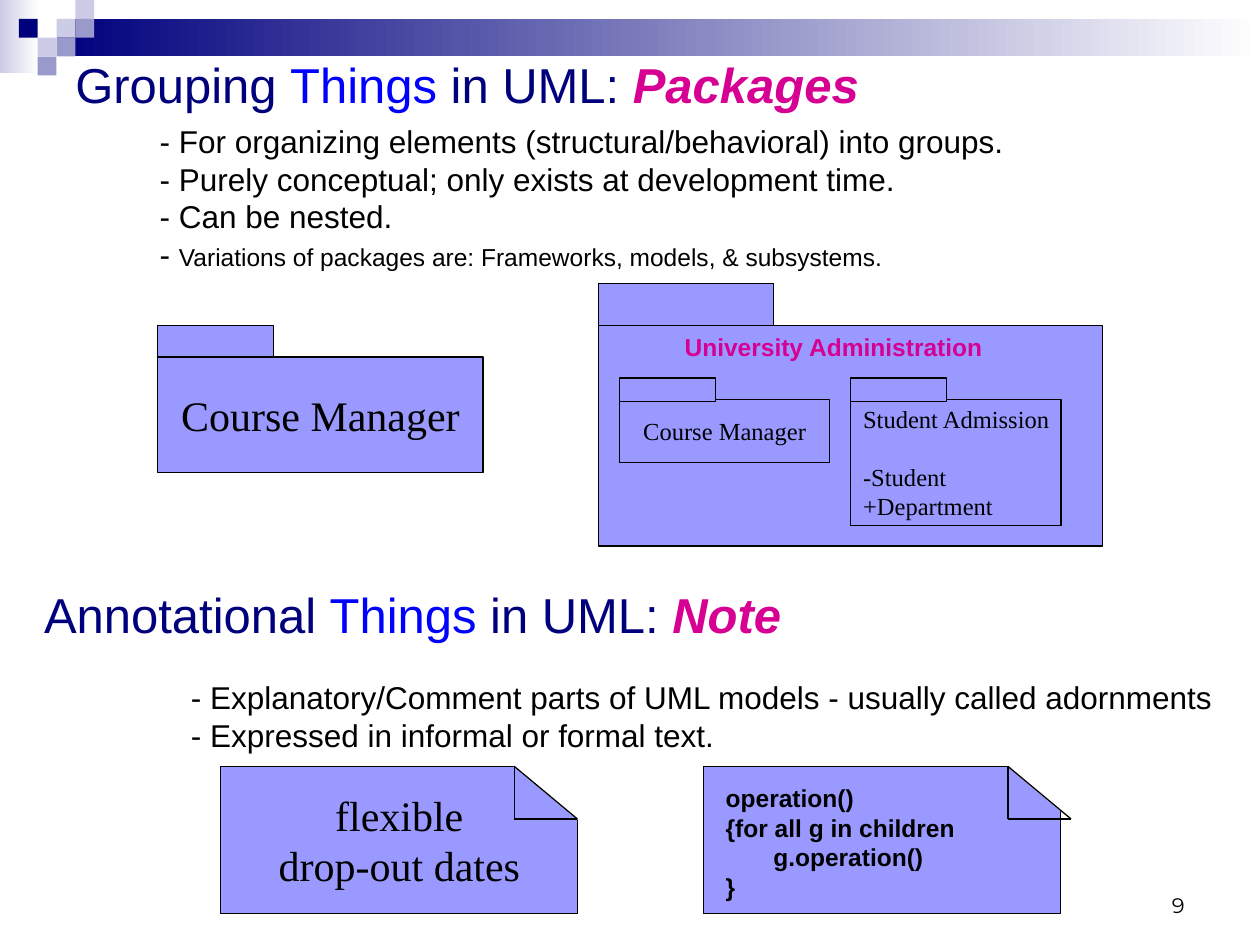
from pptx import Presentation
from pptx.dml.color import RGBColor
from pptx.enum.shapes import MSO_CONNECTOR, MSO_SHAPE
from pptx.enum.text import MSO_ANCHOR, PP_ALIGN
from pptx.oxml.ns import qn
from pptx.util import Cm, Pt
from lxml import etree

RECT = MSO_SHAPE.RECTANGLE
LINE = MSO_CONNECTOR.STRAIGHT
TOP, MID, BASE = MSO_ANCHOR.TOP, MSO_ANCHOR.MIDDLE, MSO_ANCHOR.BOTTOM
LEFT, MIDST, RIGHT = PP_ALIGN.LEFT, PP_ALIGN.CENTER, PP_ALIGN.RIGHT
SANS, SERIF, MONT = "Arial", "Times New Roman", "Montserrat"
INKS = {
    "black": "000000", "white": "FFFFFF", "navy": "00007D", "blue": "0000FF",
    "pink": "D60093", "lilac": "9999FF", "pale": "CCCCE6", "mauve": "9999CC",
}


def ink(name):
    return RGBColor.from_string(INKS[name])


def paint(shape, fill, edge=None):
    shape.shadow.inherit = False
    shape.fill.solid()
    shape.fill.fore_color.rgb = ink(fill)
    if edge:
        shape.line.color.rgb = ink(edge)
        shape.line.width = Pt(0.75)
    else:
        shape.line.fill.background()


def add_box(slide, x, y, w, h, fill="lilac", edge="black"):
    box = slide.shapes.add_shape(RECT, Cm(x), Cm(y), Cm(w), Cm(h))
    paint(box, fill, edge)
    return box


def add_fade(slide, x, y, w, h, end):
    bar = add_box(slide, x, y, w, h, "white", None)
    bar.fill.gradient()
    bar.fill.gradient_angle = 180
    for stop, spot, name in zip(bar.fill.gradient_stops, (0, 1), ("white", end)):
        stop.position = spot
        stop.color.rgb = ink(name)


def style(run, size, face=SANS, tint="black", bold=False, slant=False):
    font = run.font
    font.size, font.name = Pt(size), face
    font.bold, font.italic = bold, slant
    font.color.rgb = ink(tint)


def write(frame, text, size, face=SANS, tint="black", bold=False,
          align=LEFT, anchor=TOP, wrap=True):
    frame.text = text
    frame.word_wrap = wrap
    frame.vertical_anchor = anchor
    for para in frame.paragraphs:
        para.alignment = align
        for run in para.runs:
            style(run, size, face, tint, bold)


def add_text(slide, x, y, w, h, text, size, **look):
    frame = slide.shapes.add_textbox(Cm(x), Cm(y), Cm(w), Cm(h)).text_frame
    write(frame, text, size, **look)
    return frame


def add_head(slide, x, y, h, start, topic):
    frame = add_text(slide, x, y, 22.86, h, start, 28, tint="navy", anchor=MID)
    para = frame.paragraphs[0]
    parts = (("Things", "blue", False), (" in UML: ", "navy", False),
             (topic, "pink", True))
    for text, tint, strong in parts:
        run = para.add_run()
        run.text = text
        style(run, 28, tint=tint, bold=strong, slant=strong)


def add_pack(slide, body, tab):
    x, y = body[:2]
    box = add_box(slide, *body)
    wide, high, rise = tab
    add_box(slide, x, y - rise, wide, high)
    return box.text_frame


def add_line(slide, x1, y1, x2, y2):
    line = slide.shapes.add_connector(LINE, Cm(x1), Cm(y1), Cm(x2), Cm(y2))
    line.line.color.rgb = ink("black")
    line.line.width = Pt(0.75)
    etree.SubElement(line._element.spPr, qn("a:effectLst"))


def add_note(slide, x, fold):
    y, wide, high = 15.45, 1.27, 1.06
    box = add_box(slide, x, y, 7.2, 2.96)
    end, low = fold + wide, y + high
    form = slide.shapes.build_freeform(Cm(fold), Cm(y))
    form.add_line_segments([(Cm(end), Cm(y)), (Cm(end), Cm(low))])
    paint(form.convert_to_shape(), "white", "white")
    add_line(slide, fold, y, end, low)
    add_line(slide, fold, y, fold, low)
    add_line(slide, fold, low, end, low)
    return box.text_frame


def add_decor(slide):
    add_fade(slide, 0, 0, 0.78, 1.47, "pale")
    add_fade(slide, 1.14, 0.38, 24.26, 0.76, "navy")
    step = 0.38
    tiles = ((3, 1, "pale"), (4, 0, "pale"), (4, 1, "mauve"), (2, 2, "pale"),
             (1, 1, "navy"), (3, 2, "mauve"), (2, 3, "mauve"))
    for col, row, fill in tiles:
        add_box(slide, col * step, row * step, step, step, fill, None)


def add_packs(slide):
    add_pack(slide, (12.07, 6.56, 10.16, 4.45), (3.53, 0.86, 0.85))
    frame = add_pack(slide, (3.18, 7.2, 6.56, 2.33), (2.33, 0.64, 0.64))
    write(frame, "Course Manager", 24, SERIF, align=MIDST, anchor=MID, wrap=False)

    tab = (1.93, 0.48, 0.43)
    frame = add_pack(slide, (12.49, 8.05, 4.24, 1.27), tab)
    write(frame, "Course Manager", 14, SERIF, align=MIDST, anchor=MID, wrap=False)
    frame = add_pack(slide, (17.15, 8.05, 4.24, 2.54), tab)
    write(frame, "Student Admission\n-Student\n+Department", 14, SERIF,
          anchor=MID, wrap=False)
    frame.paragraphs[1].space_before = Pt(16)
    add_text(slide, 13.54, 6.56, 6.53, 0.86, "University Administration", 14,
             tint="pink", bold=True, align=MIDST, wrap=False)


def add_notes(slide):
    frame = add_note(slide, 4.45, 10.37)
    write(frame, "flexible\ndrop-out dates", 24, SERIF,
          align=MIDST, anchor=MID, wrap=False)
    add_note(slide, 14.18, 20.32)
    code = "operation()\n{for all g in children\n       g.operation()\n}"
    add_text(slide, 14.38, 15.67, 5.13, 2.64, code, 14, bold=True, wrap=False)


def main():
    deck = Presentation()
    deck.slide_width, deck.slide_height = Cm(25.4), Cm(19.05)
    slide = deck.slides.add_slide(deck.slide_layouts[6])
    add_decor(slide)

    add_head(slide, 1.27, 0.85, 1.69, "Grouping ", "Packages")
    frame = add_text(
        slide, 0.43, 2.33, 24.33, 3.91,
        "- For organizing elements (structural/behavioral) into groups.\n"
        "- Purely conceptual; only exists at development time.\n"
        "- Can be nested.\n"
        "- ", 18)
    frame.margin_left = Cm(2.79)
    run = frame.paragraphs[-1].add_run()
    run.text = "Variations of packages are: Frameworks, models, & subsystems."
    style(run, 14)
    add_packs(slide)

    add_head(slide, 0.64, 11.43, 1.91, "Annotational ", "Note")
    add_text(
        slide, 3.6, 13.55, 21.17, 1.78,
        "- Explanatory/Comment parts of UML models - usually called adornments\n"
        "- Expressed in informal or formal text.", 18)
    add_notes(slide)

    add_text(slide, 18.2, 17.35, 5.93, 1.27, "9", 12, face=MONT,
             align=RIGHT, anchor=BASE)
    deck.save("out.pptx")


if __name__ == "__main__":
    main()
